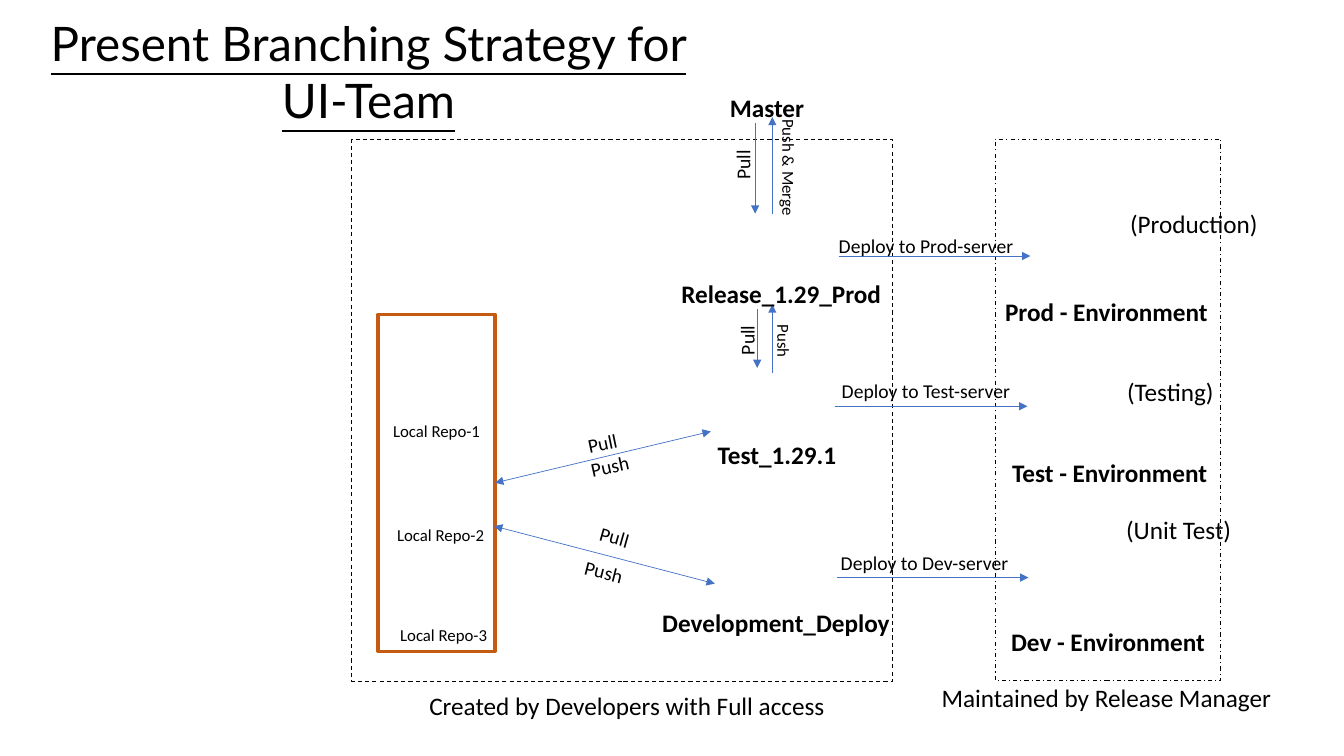
from dataclasses import dataclass

from lxml.etree import SubElement
from pptx import Presentation
from pptx.dml.color import RGBColor
from pptx.enum.dml import MSO_LINE
from pptx.enum.shapes import MSO_CONNECTOR, MSO_SHAPE
from pptx.enum.text import MSO_AUTO_SIZE, PP_ALIGN
from pptx.oxml.ns import qn
from pptx.shapes.autoshape import Shape
from pptx.shapes.connector import Connector
from pptx.slide import Slide
from pptx.util import Inches, Pt


@dataclass(frozen=True)
class Theme:
    text: RGBColor = RGBColor(0, 0, 0)
    arrow: RGBColor = RGBColor(0x44, 0x72, 0xC4)
    repo: RGBColor = RGBColor(0xC5, 0x5A, 0x11)
    body_font: str = "Calibri"
    title_font: str = "Lato"
    title: int = 34
    name: int = 18
    action: int = 14
    small: int = 12


@dataclass(frozen=True)
class Frame:
    x: float
    y: float
    w: float
    h: float
    color: RGBColor
    weight: float
    dash: MSO_LINE = MSO_LINE.SOLID


@dataclass(frozen=True)
class Label:
    text: str
    x: float
    y: float
    w: float
    size: int
    bold: bool = False
    rot: float = 0
    wrap: bool = False


@dataclass(frozen=True)
class Arrow:
    x1: float
    y1: float
    x2: float
    y2: float
    both: bool = False


THEME = Theme()
LABEL_HEIGHT = {THEME.small: 0.3, THEME.action: 0.34, THEME.name: 0.4}

REPOS = Frame(3.75, 3.12, 1.16, 3.34, THEME.repo, 2.25)
ZONES = [
    Frame(9.87, 1.38, 2.24, 5.37, THEME.text, 0.75, MSO_LINE.DASH_DOT),
    Frame(3.49, 1.38, 5.36, 5.38, THEME.text, 0.75, MSO_LINE.DASH),
]

REPO_LABELS = [
    Label(f"Local Repo-{i}", x, y, 1.08, THEME.small, wrap=True)
    for i, (x, y) in enumerate([(3.8, 4.12), (3.84, 5.16), (3.87, 6.15)], 1)
]
BRANCHES = [
    Label(text, x, y, w, THEME.name, bold=True, wrap=True)
    for text, x, y, w in [
        ("Master", 7.14, 0.87, 1.08),
        ("Release_1.29_Prod", 6.66, 2.71, 2.24),
        ("Test_1.29.1", 7.02, 4.31, 1.56),
        ("Development_Deploy", 6.47, 5.98, 2.53),
    ]
]
ENVIRONMENTS = [
    Label(f"{text} - Environment", x, y, w, THEME.name, bold=True)
    for text, x, y, w in [
        ("Prod", 9.87, 2.89, 2.23),
        ("Test", 9.94, 4.49, 2.15),
        ("Dev", 9.93, 6.16, 2.14),
    ]
]
PURPOSES = [
    Label(f"({text})", x, y, 2.2, THEME.name, wrap=True)
    for text, x, y in [
        ("Production", 11.11, 2.02),
        ("Testing", 11.08, 3.68),
        ("Unit Test", 11.07, 5.05),
    ]
]
DEPLOYS = [
    Label(f"Deploy to {text}-server", x, y, w, THEME.action)
    for text, x, y, w in [
        ("Prod", 8.22, 2.27, 1.95),
        ("Test", 8.25, 3.71, 1.9),
        ("Dev", 8.24, 5.42, 1.88),
    ]
]
ACTIONS = [
    Label("Pull", 5.73, 4.23, 0.5, THEME.action, rot=348.1),
    Label("Push", 5.76, 4.45, 0.63, THEME.action, rot=347.7),
    Label("Pull", 5.85, 5.16, 0.5, THEME.action, rot=15.8),
    Label("Push", 5.7, 5.51, 0.63, THEME.action, rot=14.3),
    Label("Pull", 7.12, 1.46, 0.5, THEME.action, rot=270),
    Label("Push & Merge", 7.22, 1.54, 1.21, THEME.small, rot=90),
    Label("Pull", 7.16, 3.2, 0.5, THEME.action, rot=270),
    Label("Push", 7.49, 3.26, 0.57, THEME.small, rot=90),
]
CAPTIONS = [
    Label("Created by Developers with Full access", 4.16, 6.8, 4.23, THEME.name),
    Label("Maintained by Release Manager", 9.24, 6.72, 3.51, THEME.name),
]

TEST_SYNC = Arrow(4.91, 4.79, 7.05, 4.28, both=True)
ARROWS = [
    Arrow(4.9, 5.22, 7.09, 5.79, both=True),
    Arrow(7.49, 1.22, 7.49, 2.12),
    Arrow(7.66, 2.12, 7.66, 1.16),
    Arrow(7.51, 3.07, 7.51, 3.65),
    Arrow(7.66, 3.7, 7.66, 3.02),
    Arrow(8.32, 2.54, 10.22, 2.54),
    Arrow(8.28, 4.03, 10.19, 4.03),
    Arrow(8.3, 5.73, 10.2, 5.73),
]


def add_frame(s: Slide, f: Frame) -> Shape:
    sp = s.shapes.add_shape(
        MSO_SHAPE.RECTANGLE, Inches(f.x), Inches(f.y), Inches(f.w), Inches(f.h)
    )
    sp.shadow.inherit = False
    sp.fill.background()
    sp.line.color.rgb = f.color
    sp.line.width = Pt(f.weight)
    sp.line.dash_style = f.dash
    return sp


def add_label(s: Slide, label: Label) -> None:
    sp = s.shapes.add_textbox(
        Inches(label.x), Inches(label.y),
        Inches(label.w), Inches(LABEL_HEIGHT[label.size]),
    )
    sp.rotation = label.rot
    tf = sp.text_frame
    tf.word_wrap = label.wrap
    tf.auto_size = MSO_AUTO_SIZE.SHAPE_TO_FIT_TEXT
    r = tf.paragraphs[0].add_run()
    r.text = label.text
    r.font.name = THEME.body_font
    r.font.size = Pt(label.size)
    r.font.bold = label.bold
    r.font.color.rgb = THEME.text


def add_title(s: Slide, text: str) -> None:
    sp = s.shapes.add_textbox(Inches(0.31), Inches(0.09), Inches(6.69), Inches(1.25))
    tf = sp.text_frame
    tf.word_wrap = True
    p = tf.paragraphs[0]
    p.alignment = PP_ALIGN.CENTER
    r = p.add_run()
    r.text = text
    r.font.name = THEME.title_font
    r.font.size = Pt(THEME.title)
    r.font.underline = True
    r.font.color.rgb = THEME.text


def add_arrow(s: Slide, a: Arrow) -> Connector:
    cx = s.shapes.add_connector(
        MSO_CONNECTOR.STRAIGHT,
        Inches(a.x1), Inches(a.y1), Inches(a.x2), Inches(a.y2),
    )
    cx.line.color.rgb = THEME.arrow
    cx.line.width = Pt(0.5)
    ln = cx.line._get_or_add_ln()
    for end in ["headEnd", "tailEnd"] if a.both else ["tailEnd"]:
        SubElement(ln, qn(f"a:{end}"), type="triangle")
    SubElement(cx._element.spPr, qn("a:effectLst"))
    return cx


def main() -> None:
    prs = Presentation()
    prs.slide_width, prs.slide_height = Inches(13.33), Inches(7.5)
    s = prs.slides.add_slide(prs.slide_layouts[6])
    add_title(s, "Present Branching Strategy for UI-Team")
    for zone in ZONES:
        add_frame(s, zone)
    repos = add_frame(s, REPOS)
    add_arrow(s, TEST_SYNC).begin_connect(repos, 3)
    for arrow in ARROWS:
        add_arrow(s, arrow)
    for group in (REPO_LABELS, BRANCHES, ENVIRONMENTS, PURPOSES,
                  DEPLOYS, ACTIONS, CAPTIONS):
        for label in group:
            add_label(s, label)
    prs.save("out.pptx")


if __name__ == "__main__":
    main()
